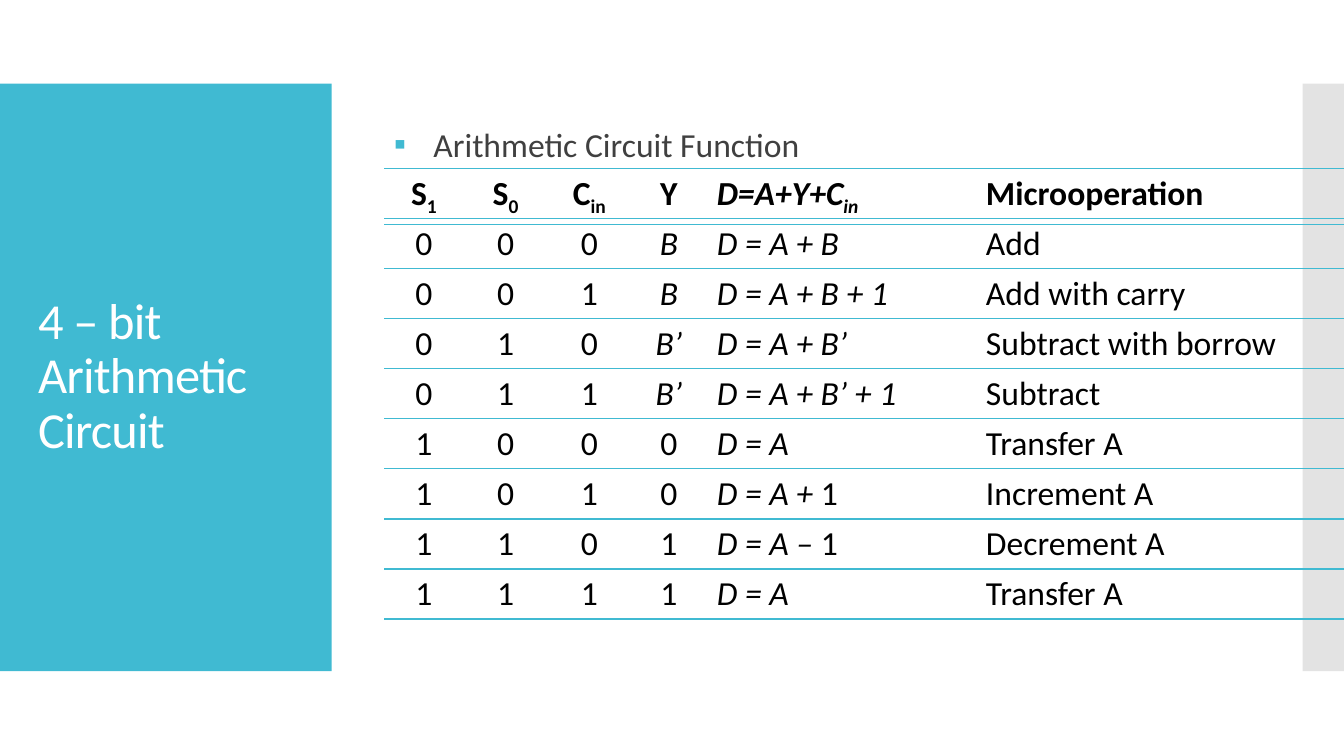
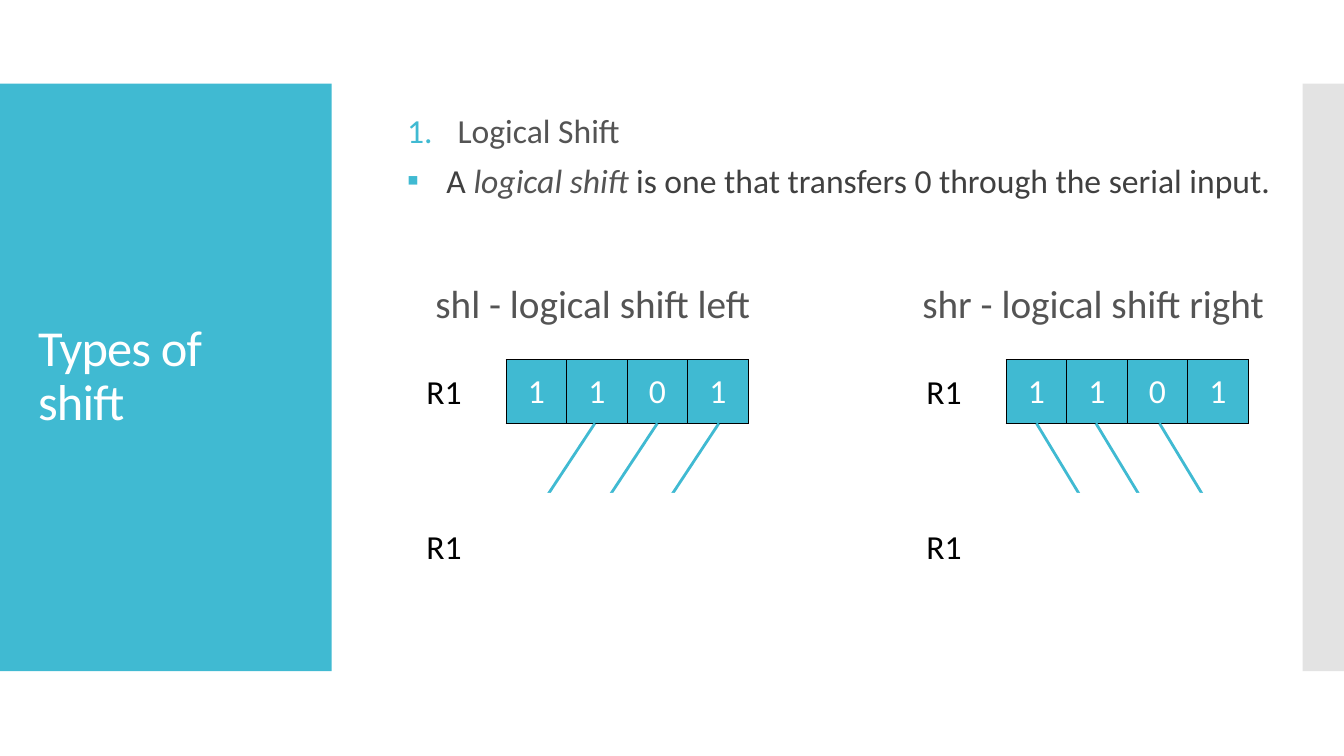
from lxml import etree
from pptx import Presentation
from pptx import util as u
from pptx.dml import color as dml
from pptx.enum import shapes, text
from pptx.oxml import ns

COLORS = {
    "accent": "40BAD2",
    "band": "C8C8C8",
    "white": "FFFFFF",
    "black": "000000",
    "dark": "404040",
    "gray": "545454",
}
FONT = "Calibri"
CENTER, LEFT, JUSTIFY = text.PP_ALIGN.CENTER, text.PP_ALIGN.LEFT, text.PP_ALIGN.JUSTIFY
MIDDLE, TOP = text.MSO_ANCHOR.MIDDLE, text.MSO_ANCHOR.TOP

FUNCTION_COLUMNS = [0.79, 0.83, 0.83, 0.75, 2.67, 3.71]
FUNCTION_ROWS = [
    ["0", "0", "0", "*B*", "*D = A + B*", "Add"],
    ["0", "0", "1", "*B*", "*D = A + B + 1*", "Add with carry"],
    ["0", "1", "0", "*B’*", "*D = A + B’*", "Subtract with borrow"],
    ["0", "1", "1", "*B’*", "*D = A + B’ + 1*", "Subtract"],
    ["1", "0", "0", "0", "*D = A*", "Transfer A"],
    ["1", "0", "1", "0", "*D = A + *1", "Increment A"],
    ["1", "1", "0", "1", "*D = A – *1", "Decrement A"],
    ["1", "1", "1", "1", "*D = A*", "Transfer A"],
]
FUNCTION_HEADER = ["S_1", "S_0", "C_in", "Y", "*D=A+Y+C_in*", "Microoperation"]


def rgb(name):
    return dml.RGBColor.from_string(COLORS[name])


def add_xml(parent, tag, **attributes):
    return etree.SubElement(parent, ns.qn(tag), attributes)


def write_text(para, content, size=24, color="black", italic_color=None, bold=False,
               align=LEFT, line_spacing=None, tracking=None):
    """Write content into a paragraph; *...* is italic and _ starts a subscript."""
    para.alignment = align
    if line_spacing:
        para.line_spacing = line_spacing
    for index, part in enumerate(content.split("*")):
        italic = index % 2 == 1
        base, _, subscript = part.partition("_")
        for words, lowered in ((base, False), (subscript, True)):
            if not words:
                continue
            span = para.add_run()
            span.text = words
            span.font.name = FONT
            span.font.size = u.Pt(size)
            span.font.bold = bold
            span.font.italic = italic
            span.font.color.rgb = rgb(italic_color if italic and italic_color else color)
            properties = span.font._element
            if lowered:
                properties.set("baseline", "-25000")
            if tracking:
                properties.set("spc", str(tracking))


class Lecture:
    """Hold the lecture style and the current slide."""

    def __init__(self):
        self.deck = Presentation()
        self.deck.slide_width = u.Inches(13.33)
        self.deck.slide_height = u.Inches(7.5)
        self.page = None

    def new_slide(self, title):
        self.page = self.deck.slides.add_slide(self.deck.slide_layouts[6])
        self.rectangle(0, 0.83, 3.29, 5.83, "accent")
        self.rectangle(12.92, 0.83, 0.41, 5.83, "band", opacity=50)
        box = self.text_box(0.28, 1.23, 2.74, 5.03, anchor=MIDDLE)
        write_text(box.paragraphs[0], title, size=36, color="white",
                   line_spacing=0.9, tracking=-60)

    def rectangle(self, left, top, width, height, fill, opacity=None):
        shape = self.page.shapes.add_shape(
            shapes.MSO_SHAPE.RECTANGLE, u.Inches(left), u.Inches(top),
            u.Inches(width), u.Inches(height))
        shape.shadow.inherit = False
        shape.line.fill.background()
        shape.fill.solid()
        shape.fill.fore_color.rgb = rgb(fill)
        if opacity:
            swatch = shape._element.spPr.find(".//" + ns.qn("a:srgbClr"))
            add_xml(swatch, "a:alpha", val=str(opacity * 1000))

    def text_box(self, left, top, width, height, anchor=TOP, wrap=True):
        box = self.page.shapes.add_textbox(
            u.Inches(left), u.Inches(top), u.Inches(width), u.Inches(height))
        frame = box.text_frame
        frame.word_wrap = wrap
        frame.vertical_anchor = anchor
        return frame

    def label(self, left, top, width, height, content, **style):
        box = self.text_box(left, top, width, height, wrap=False)
        box.auto_size = text.MSO_AUTO_SIZE.SHAPE_TO_FIT_TEXT
        write_text(box.paragraphs[0], content, **style)

    def bullets(self, left, top, width, height, items):
        box = self.text_box(left, top, width, height)
        for index, (content, numbered, color) in enumerate(items):
            para = box.add_paragraph() if index else box.paragraphs[0]
            indent = u.Inches(0.5 if numbered else 0.39)
            properties = para._p.get_or_add_pPr()
            properties.set("marL", str(indent))
            properties.set("indent", str(-indent))
            add_xml(add_xml(properties, "a:buClr"), "a:srgbClr", val=COLORS["accent"])
            add_xml(properties, "a:buFont", typeface=FONT)
            if numbered:
                add_xml(properties, "a:buAutoNum", type="arabicPeriod")
            else:
                add_xml(properties, "a:buChar", char="▪")
            write_text(para, content, color=color, italic_color="gray",
                       align=JUSTIFY, line_spacing=1.25)

    def table_row(self, left, top, height, columns, values, edges, edge_color,
                  fill=None, anchor=TOP, centered=None, **style):
        frame = self.page.shapes.add_table(
            1, len(columns), u.Inches(left), u.Inches(top),
            u.Inches(sum(columns)), u.Inches(height))
        table = frame.table
        table.first_row = table.horz_banding = False
        for index, (width, value) in enumerate(zip(columns, values)):
            table.columns[index].width = u.Inches(width)
            cell = table.cell(0, index)
            cell.vertical_anchor = anchor
            self.cell_borders(cell, edges, edge_color)
            if fill:
                cell.fill.solid()
                cell.fill.fore_color.rgb = rgb(fill)
            else:
                cell.fill.background()
            in_center = centered is None or index < centered
            write_text(cell.text_frame.paragraphs[0], value,
                       align=CENTER if in_center else LEFT, **style)

    def cell_borders(self, cell, edges, color):
        properties = cell._tc.get_or_add_tcPr()
        for edge in "LRTB":
            line = add_xml(properties, "a:ln" + edge, w=str(u.Pt(1)))
            if edge in edges:
                add_xml(add_xml(line, "a:solidFill"), "a:srgbClr", val=COLORS[color])
            else:
                add_xml(line, "a:noFill")

    def arrow(self, start_x, start_y, end_x, end_y):
        arrow = self.page.shapes.add_connector(
            shapes.MSO_CONNECTOR.STRAIGHT, u.Inches(start_x), u.Inches(start_y),
            u.Inches(end_x), u.Inches(end_y))
        arrow.line.color.rgb = rgb("accent")
        arrow.line.width = u.Pt(2)
        add_xml(arrow.line._get_or_add_ln(), "a:tailEnd", type="stealth")
        add_xml(arrow._element.spPr, "a:effectLst")

    def shift_register(self, left, caption, caption_left, caption_width, starts, shift):
        self.table_row(left + 0.89, 3.57, 0.63, [0.6] * 4, "1101", "LRTB", "black",
                       fill="accent", anchor=MIDDLE, color="white")
        for top in (3.63, 5.17):
            self.label(left, top, 0.55, 0.5, "R1")
        for start in starts:
            self.arrow(start, 4.2, start + shift, 5.11)
        self.rectangle(left + 0.6, 4.89, 2.75, 0.93, "white")
        self.label(caption_left, 2.72, caption_width, 0.57, caption, size=28, color="gray")


def arithmetic_circuit(lecture):
    lecture.new_slide("4 – bit Arithmetic Circuit")
    lecture.bullets(3.81, 1.08, 9.52, 0.67, [("Arithmetic Circuit Function", False, "dark")])
    row_pitch = 3.97 / len(FUNCTION_ROWS)
    for index, values in enumerate([FUNCTION_HEADER] + FUNCTION_ROWS):
        lecture.table_row(3.81, 1.67 + index * row_pitch, 0.5, FUNCTION_COLUMNS, values,
                          "TB", "accent", centered=4, bold=index == 0)


def types_of_shift(lecture):
    lecture.new_slide("Types of shift")
    lecture.bullets(3.94, 0.94, 8.76, 5.6, [
        ("Logical Shift", True, "gray"),
        ("A *logical shift* is one that transfers 0 through the serial input.", False, "dark"),
    ])
    lecture.shift_register(4.13, "shl - logical shift left", 4.22, 3.43,
                           (5.9, 6.52, 7.13), -0.6)
    lecture.shift_register(9.09, "shr - logical shift right", 9.05, 3.7,
                           (10.28, 10.87, 11.5), 0.55)


def main():
    lecture = Lecture()
    arithmetic_circuit(lecture)
    types_of_shift(lecture)
    lecture.deck.save("out.pptx")


if __name__ == "__main__":
    main()
